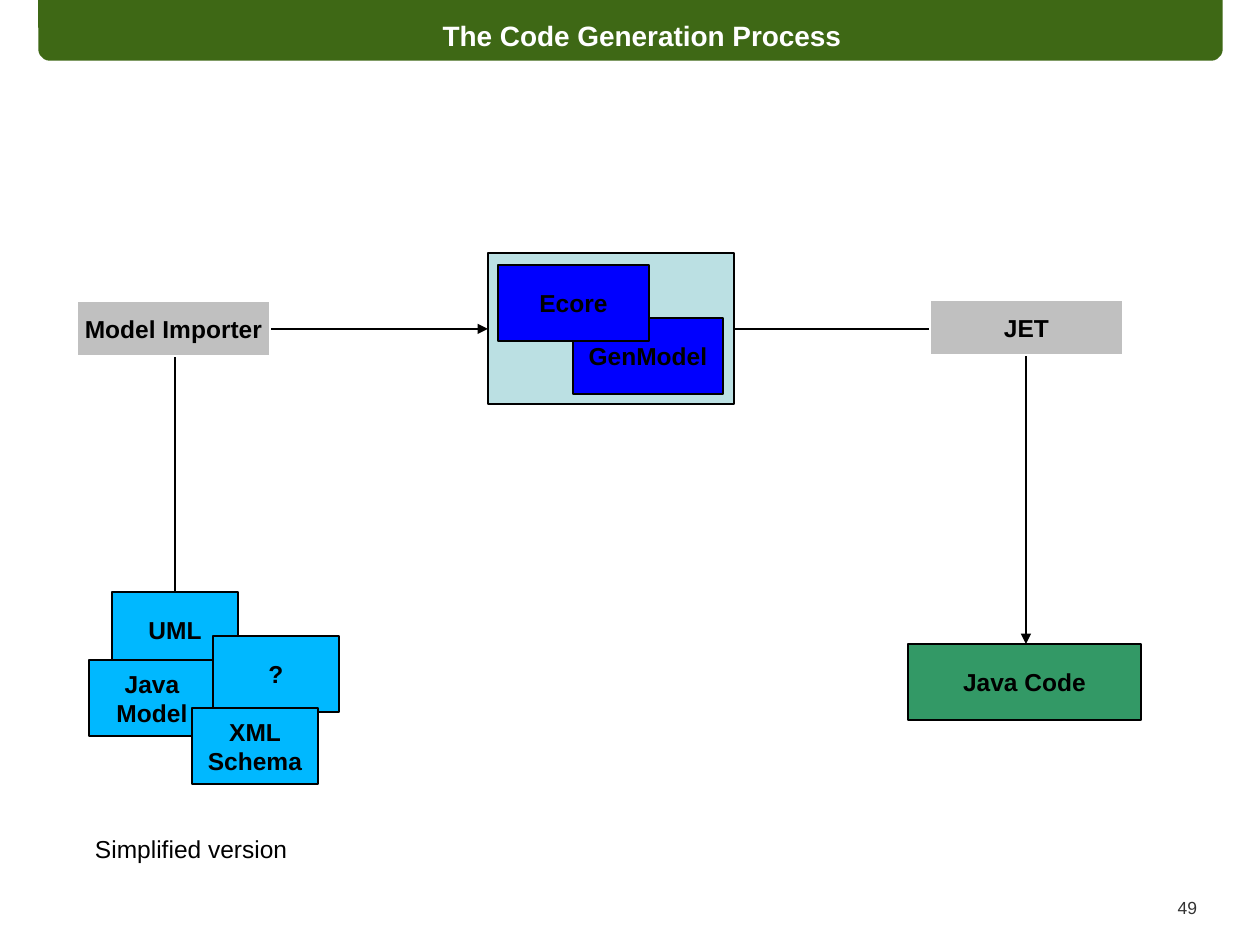
import pptx
import pptx.util
import pptx.dml.color
import pptx.enum.shapes
import pptx.enum.text
import pptx.oxml
import pptx.oxml.ns

SHAPE = pptx.enum.shapes.MSO_SHAPE
ALIGN = pptx.enum.text.PP_ALIGN
ANCHOR = pptx.enum.text.MSO_ANCHOR
PX = 914400 // 126

COLORS = {
    "bar": "3E6815", "white": "FFFFFF", "black": "000000", "grey": "333333",
    "input": "00B8FF", "code": "339966", "group": "BBE0E3",
    "model": "0000FF", "tool": "C0C0C0",
}

# text, left, top, width, height, fill, line, wrap
SOURCES = [
    ("UML", 112, 592, 126, 76, "input", "black", True),
    ("Java Model", 89, 660, 126, 76, "input", "black", True),
    ("?", 213, 636, 126, 76, "input", "black", True),
    ("XML Schema", 192, 708, 126, 76, "input", "black", True),
    ("Java Code", 908, 644, 233, 76, "code", "black", False),
]
STAGES = [
    ("", 488, 253, 246, 151, "group", "black", False),
    ("GenModel", 573, 318, 150, 76, "model", "black", False),
    ("Ecore", 498, 265, 151, 76, "model", "black", False),
    ("Model Importer", 77, 301, 193, 55, "tool", "white", False),
    ("JET", 930, 300, 193, 55, "tool", "white", False),
]
# start, end, whether the arrow leaves upright
ARROWS = [
    ((175, 592), (488, 329), True),
    ((733, 329), (1026, 644), False),
]
# text, left, top, width, height, size, color, bold, align, anchor, insets
LABELS = [
    ("The Code Generation Process", 146, 0, 992, 70, 16, "white", True,
     ALIGN.CENTER, ANCHOR.MIDDLE, (13, 6)),
    ("Simplified version", 82, 828, 219, 44, 14, "black", False,
     ALIGN.LEFT, ANCHOR.TOP, (13, 6)),
    ("49", 1076, 897, 121, 28, 10, "grey", False,
     ALIGN.RIGHT, ANCHOR.TOP, (0, 0)),
]


def emu(*vals):
    return [round(v * PX) for v in vals]


def rgb(name):
    return pptx.dml.color.RGBColor.from_string(COLORS[name])


def write(shape, text, size, color, bold, align, anchor, insets, wrap=True):
    frame = shape.text_frame
    frame.text = text
    frame.word_wrap = wrap
    frame.vertical_anchor = anchor
    frame.margin_left = frame.margin_right = insets[0] * PX
    frame.margin_top = frame.margin_bottom = insets[1] * PX
    para = frame.paragraphs[0]
    para.alignment = align
    for run in para.runs:
        run.font.name = "Arial"
        run.font.size = pptx.util.Pt(size)
        run.font.bold = bold
        run.font.color.rgb = rgb(color)


def draw(shapes, kind, box, fill, line, width=0.75):
    shape = shapes.add_shape(kind, *emu(*box))
    shape.shadow.inherit = False
    shape.fill.solid()
    shape.fill.fore_color.rgb = rgb(fill)
    shape.line.color.rgb = rgb(line)
    shape.line.width = pptx.util.Pt(width)
    return shape


def add_boxes(shapes, rows):
    for text, *box, fill, line, wrap in rows:
        shape = draw(shapes, SHAPE.RECTANGLE, box, fill, line)
        if text:
            write(shape, text, 14, "black", True, ALIGN.CENTER,
                  ANCHOR.MIDDLE, (13, 6), wrap)


def add_arrow(shapes, start, end, upright):
    """Draw a one-bend arrow; an upright one is a flipped bend turned 90°."""
    (x1, y1), (x2, y2) = start, end
    if upright:
        mid_x, mid_y = (x1 + x2) / 2, (y1 + y2) / 2
        half_w, half_h = abs(y2 - y1) / 2, abs(x2 - x1) / 2
        x1, y1 = mid_x + half_w, mid_y + half_h
        x2, y2 = mid_x - half_w, mid_y - half_h
    link = shapes.add_connector(pptx.enum.shapes.MSO_CONNECTOR.ELBOW,
                                *emu(x1, y1, x2, y2))
    link.line.color.rgb = rgb("black")
    link.line.width = pptx.util.Pt(0.75)
    props = link._element.spPr
    qn = pptx.oxml.ns.qn
    props.find(qn("a:prstGeom")).set("prst", "bentConnector2")
    if upright:
        props.find(qn("a:xfrm")).set("rot", "5400000")
    space = pptx.oxml.ns.nsdecls("a")
    link.line._get_or_add_ln().append(
        pptx.oxml.parse_xml(f'<a:tailEnd {space} type="triangle"/>'))
    props.append(pptx.oxml.parse_xml(f"<a:effectLst {space}/>"))


def main():
    deck = pptx.Presentation()
    deck.slide_width, deck.slide_height = emu(1260, 945)
    shapes = deck.slides.add_slide(deck.slide_layouts[6]).shapes

    bar = draw(shapes, SHAPE.ROUND_2_SAME_RECTANGLE, (40, 0, 1181, 59),
               "bar", "bar", 2)
    bar.rotation = 180
    bar.adjustments[0] = 0.17

    add_boxes(shapes, SOURCES)
    for arrow in ARROWS:
        add_arrow(shapes, *arrow)
    add_boxes(shapes, STAGES)
    for text, *box, size, color, bold, align, anchor, insets in LABELS:
        label = shapes.add_textbox(*emu(*box))
        write(label, text, size, color, bold, align, anchor, insets)

    deck.save("out.pptx")


if __name__ == "__main__":
    main()
